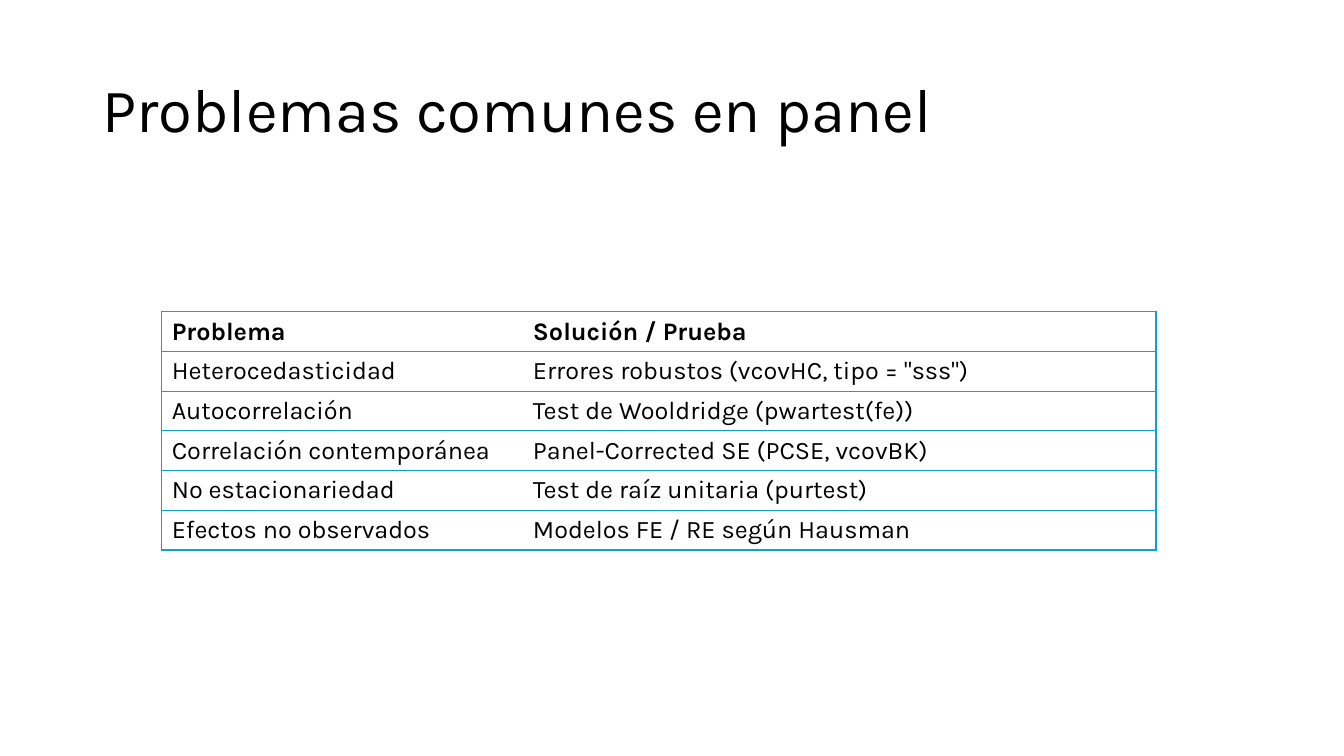
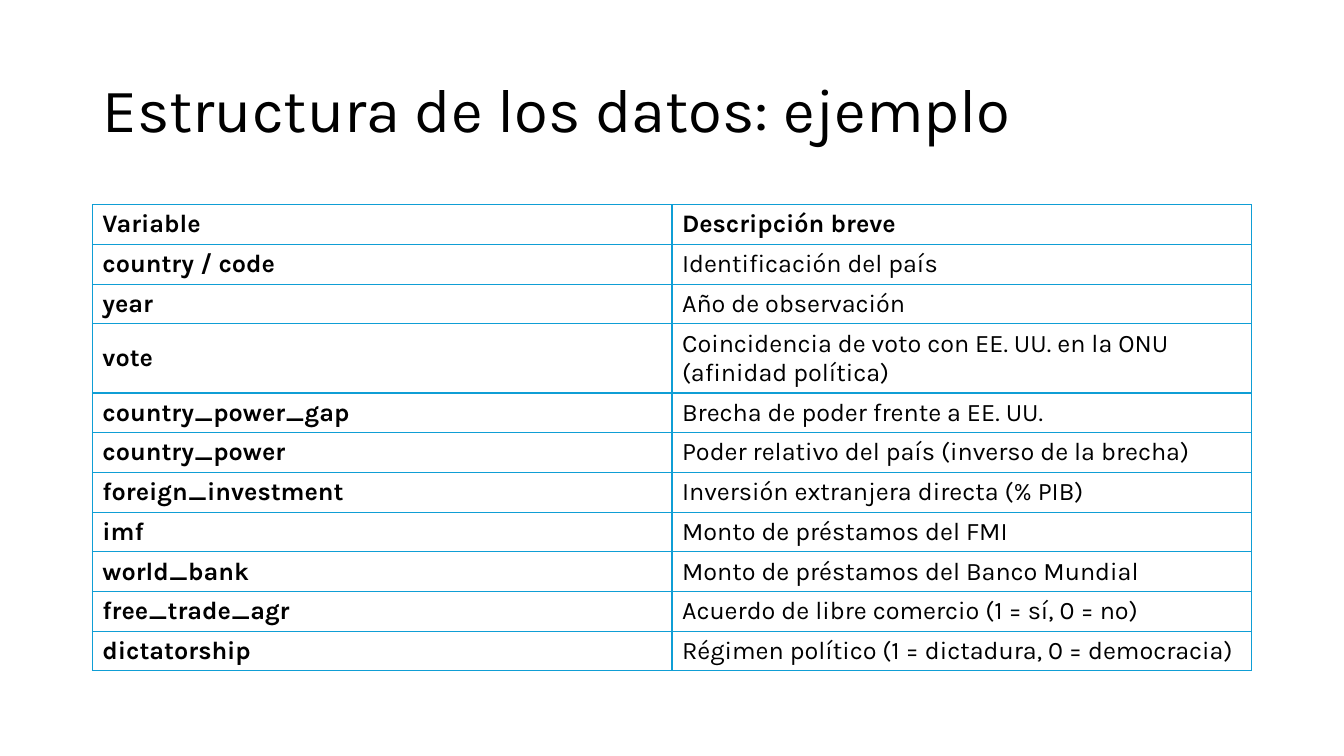
"""Build two slides on panel data, each with a title and a bordered table."""
from lxml.etree import SubElement
from pptx import Presentation
from pptx.dml.color import RGBColor
from pptx.enum.text import MSO_ANCHOR as Anchor, MSO_AUTO_SIZE as AutoSize, PP_ALIGN as Align
from pptx.oxml.ns import qn
from pptx.util import Pt

PX = 9525
SLIDE_WIDTH, SLIDE_HEIGHT = 1280, 720
TITLE_BOX = (88, 38, 1104, 139)
ROW_HEIGHT = 37
TITLE_ONLY = 5

BLACK = RGBColor(0x00, 0x00, 0x00)
WHITE = RGBColor(0xFF, 0xFF, 0xFF)
BLUE = RGBColor(0x0F, 0x9E, 0xD5)

TITLE_FONT = {"name": "Karla", "size": Pt(44), "bold": False}
CELL_FONT = {"name": "Karla", "size": Pt(18)}
TITLE_FRAME = {
    "word_wrap": True,
    "auto_size": AutoSize.NONE,
    "vertical_anchor": Anchor.MIDDLE,
}
PLAIN_TABLE = {"first_row": False, "horz_banding": False}

PROBLEMS = [
    ("Problema", "Solución / Prueba"),
    ("Heterocedasticidad", 'Errores robustos (vcovHC, tipo = "sss")'),
    ("Autocorrelación", "Test de Wooldridge (pwartest(fe))"),
    ("Correlación contemporánea", "Panel-Corrected SE (PCSE, vcovBK)"),
    ("No estacionariedad", "Test de raíz unitaria (purtest)"),
    ("Efectos no observados", "Modelos FE / RE según Hausman"),
]
VARIABLES = [
    ("Variable", "Descripción breve"),
    ("country / code", "Identificación del país"),
    ("year", "Año de observación"),
    ("vote", "Coincidencia de voto con EE. UU. en la ONU (afinidad política)"),
    ("country_power_gap", "Brecha de poder frente a EE. UU."),
    ("country_power", "Poder relativo del país (inverso de la brecha)"),
    ("foreign_investment", "Inversión extranjera directa (% PIB)"),
    ("imf", "Monto de préstamos del FMI"),
    ("world_bank", "Monto de préstamos del Banco Mundial"),
    ("free_trade_agr", "Acuerdo de libre comercio (1 = sí, 0 = no)"),
    ("dictatorship", "Régimen político (1 = dictadura, 0 = democracia)"),
]


def set_attributes(target, values):
    for name, value in values.items():
        setattr(target, name, value)


def write_text(text_frame, text, font_values):
    text_frame.text = text
    paragraph = text_frame.paragraphs[0]
    paragraph.alignment = Align.LEFT
    font = paragraph.runs[0].font
    set_attributes(font, font_values)
    font.color.rgb = BLACK
    return paragraph


def add_titled_slide(presentation, text):
    slide = presentation.slides.add_slide(presentation.slide_layouts[TITLE_ONLY])
    title = slide.shapes.title
    box = zip(("left", "top", "width", "height"), TITLE_BOX)
    set_attributes(title, {name: value * PX for name, value in box})
    set_attributes(title.text_frame, TITLE_FRAME)
    write_text(title.text_frame, text, TITLE_FONT).line_spacing = 0.9
    return slide


def set_borders(cell, visible_sides):
    properties = cell._tc.get_or_add_tcPr()
    for side in "LRTB":
        line = SubElement(properties, qn(f"a:ln{side}"), w=str(Pt(1)))
        if side in visible_sides:
            fill = SubElement(line, qn("a:solidFill"))
            SubElement(fill, qn("a:srgbClr"), val=str(BLUE))
        else:
            SubElement(line, qn("a:noFill"))


def add_table(slide, rows, left, top, widths, bold_names=False, divider=False):
    frame = slide.shapes.add_table(
        len(rows), len(widths), left * PX, top * PX,
        sum(widths) * PX, len(rows) * ROW_HEIGHT * PX)
    table = frame.table
    set_attributes(table, PLAIN_TABLE)
    for column, width in zip(table.columns, widths):
        column.width = width * PX
    outer_sides = ("LTB", "RTB")
    for row_index, row in enumerate(rows):
        for column_index, text in enumerate(row):
            cell = table.cell(row_index, column_index)
            bold = row_index == 0 or (bold_names and column_index == 0)
            write_text(cell.text_frame, text, {**CELL_FONT, "bold": bold})
            cell.vertical_anchor = Anchor.MIDDLE
            set_borders(cell, "LRTB" if divider else outer_sides[column_index])
            cell.fill.solid()
            cell.fill.fore_color.rgb = WHITE


def main():
    presentation = Presentation()
    presentation.slide_width = SLIDE_WIDTH * PX
    presentation.slide_height = SLIDE_HEIGHT * PX

    slide = add_titled_slide(presentation, "Problemas comunes en panel")
    add_table(slide, PROBLEMS, 154, 297, (344, 603))

    slide = add_titled_slide(presentation, "Estructura de los datos: ejemplo")
    add_table(slide, VARIABLES, 88, 195, (552, 552), bold_names=True, divider=True)

    presentation.save("out.pptx")


if __name__ == "__main__":
    main()
